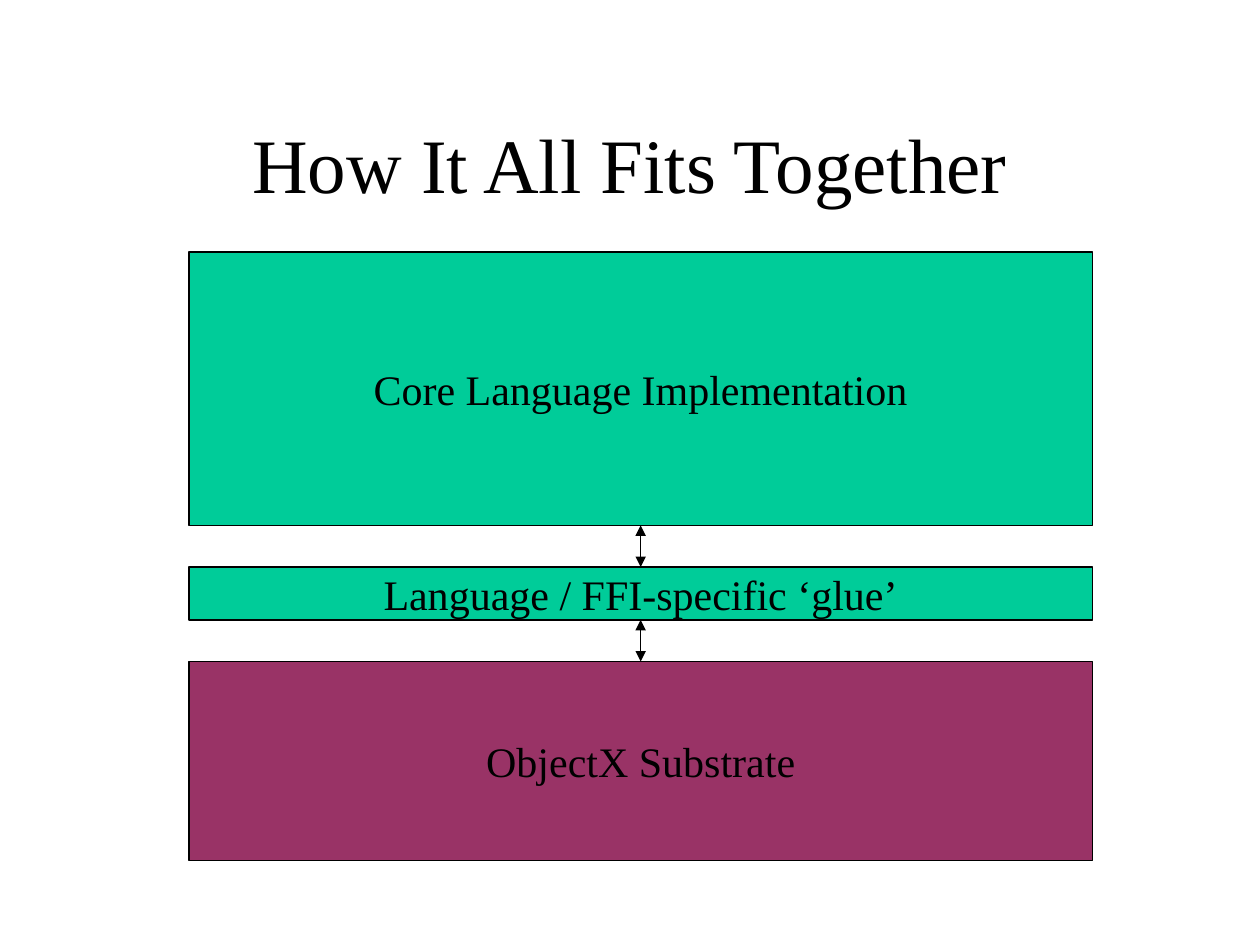
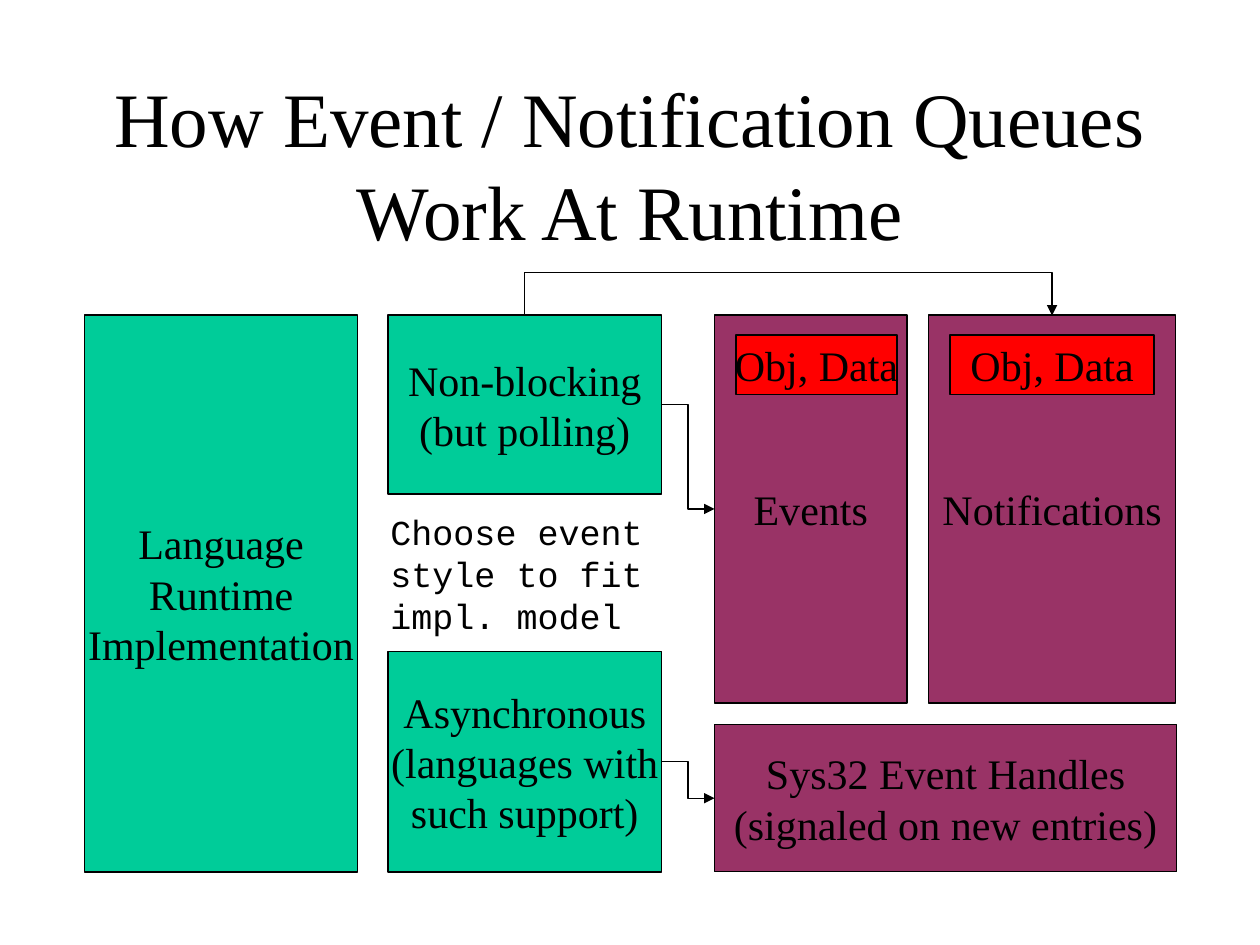
import pptx
import pptx.dml.color
import pptx.enum.shapes
import pptx.enum.text
import pptx.oxml.ns
import pptx.oxml.xmlchemy
import pptx.util

Inches = pptx.util.Inches
Pt = pptx.util.Pt
RGBColor = pptx.dml.color.RGBColor
OxmlElement = pptx.oxml.xmlchemy.OxmlElement
MSO_CONNECTOR = pptx.enum.shapes.MSO_CONNECTOR
PP_ALIGN = pptx.enum.text.PP_ALIGN
MSO_ANCHOR = pptx.enum.text.MSO_ANCHOR

# Shared style
BLACK = RGBColor(0x00, 0x00, 0x00)
LANGUAGE_GREEN = RGBColor(0x00, 0xCC, 0x99)
SUBSTRATE_PURPLE = RGBColor(0x99, 0x33, 0x66)
ENTRY_RED = RGBColor(0xFF, 0x00, 0x00)
SERIF = "Times New Roman"
MONO = "Courier New"
LINE_WIDTH = Pt(0.75)

# Connection sites of a rectangle
TOP, LEFT, BOTTOM, RIGHT = range(4)


def style_paragraph(p, size, align, name=SERIF):
    p.alignment = align
    p.font.name = name
    p.font.size = Pt(size)
    p.font.color.rgb = BLACK


def add_titled_slide(prs, title):
    slide = prs.slides.add_slide(prs.slide_layouts[5])
    sp = slide.shapes.title
    sp.left, sp.top = Inches(0.75), Inches(0.67)
    sp.width, sp.height = Inches(8.5), Inches(1.25)
    tf = sp.text_frame
    tf.text = title
    tf.word_wrap = True
    tf.auto_size = pptx.enum.text.MSO_AUTO_SIZE.NONE
    tf.vertical_anchor = MSO_ANCHOR.MIDDLE
    style_paragraph(tf.paragraphs[0], 44, PP_ALIGN.CENTER)
    return slide


def add_box(slide, text, left, top, width, height, fill):
    sp = slide.shapes.add_shape(
        pptx.enum.shapes.MSO_SHAPE.RECTANGLE,
        Inches(left), Inches(top), Inches(width), Inches(height))
    sp.shadow.inherit = False
    sp.fill.solid()
    sp.fill.fore_color.rgb = fill
    sp.line.color.rgb = BLACK
    sp.line.width = LINE_WIDTH
    tf = sp.text_frame
    tf.text = text
    tf.word_wrap = False
    tf.vertical_anchor = MSO_ANCHOR.MIDDLE
    for p in tf.paragraphs:
        style_paragraph(p, 24, PP_ALIGN.CENTER)
    return sp


def add_note(slide, text, left, top, width, height):
    sp = slide.shapes.add_textbox(
        Inches(left), Inches(top), Inches(width), Inches(height))
    tf = sp.text_frame
    tf.text = text
    tf.word_wrap = True
    style_paragraph(tf.paragraphs[0], 20, PP_ALIGN.LEFT, MONO)


def add_arrow(slide, kind, start, start_site, end, end_site, ends=("tailEnd",)):
    """Link two boxes; ends lists the line ends that carry an arrowhead."""
    cxn = slide.shapes.add_connector(kind, 0, 0, 0, 0)
    cxn.begin_connect(start, start_site)
    cxn.end_connect(end, end_site)
    cxn.line.color.rgb = BLACK
    cxn.line.width = LINE_WIDTH
    ln = cxn._element.spPr.find(pptx.oxml.ns.qn("a:ln"))
    for tag in ends:
        head = OxmlElement(f"a:{tag}")
        head.set("type", "triangle")
        ln.append(head)
    cxn._element.spPr.append(OxmlElement("a:effectLst"))
    return cxn


def loop_over(cxn, start, end, rise):
    """Route an elbow from top to top, rising above both boxes."""
    depth = Inches(0.01)
    x1 = start.left + start.width // 2
    x2 = end.left + end.width // 2
    cxn.left, cxn.width = (x1 + x2 - depth) // 2, depth
    cxn.top, cxn.height = start.top - (x2 - x1) // 2, x2 - x1
    xfrm = cxn._element.spPr.find(pptx.oxml.ns.qn("a:xfrm"))
    xfrm.attrib.pop("flipV", None)
    xfrm.set("rot", str(270 * 60000))
    xfrm.set("flipH", "1")
    guide = OxmlElement("a:gd")
    guide.set("name", "adj1")
    guide.set("fmla", f"val {round(-Inches(rise) / depth * 100000)}")
    geom = cxn._element.spPr.find(pptx.oxml.ns.qn("a:prstGeom"))
    geom.get_or_add_avLst().append(guide)


def build_layers_slide(prs):
    slide = add_titled_slide(prs, "How It All Fits Together")
    layers = [
        ("Core Language Implementation", 2.17, LANGUAGE_GREEN),
        ("Language / FFI-specific ‘glue’", 0.42, LANGUAGE_GREEN),
        ("ObjectX Substrate", 1.58, SUBSTRATE_PURPLE),
    ]
    top, gap = 2, 0.33
    boxes = []
    for text, height, fill in layers:
        boxes.append(add_box(slide, text, 1.5, top, 7.17, height, fill))
        top += height + gap
    for upper, lower in zip(boxes, boxes[1:]):
        add_arrow(slide, MSO_CONNECTOR.STRAIGHT, upper, BOTTOM, lower, TOP,
                  ("headEnd", "tailEnd"))


def build_queues_slide(prs):
    slide = add_titled_slide(
        prs, "How Event / Notification Queues Work At Runtime")
    top, mid, right = 2.5, 3.08, 5.67

    # Language side
    add_box(slide, "Language\nRuntime\nImplementation",
            0.67, top, 2.17, 4.42, LANGUAGE_GREEN)
    polling = add_box(slide, "Non-blocking\n(but polling)",
                      mid, top, 2.17, 1.42, LANGUAGE_GREEN)
    asynchronous = add_box(slide, "Asynchronous\n(languages with\nsuch support)",
                           mid, 5.17, 2.17, 1.75, LANGUAGE_GREEN)
    add_note(slide, "Choose event style to fit impl. model", 3, 4, 2.25, 1.1)

    # Queues, each with an entry at its top
    handles = add_box(slide, "Sys32 Event Handles\n(signaled on new entries)",
                      right, 5.75, 3.67, 1.17, SUBSTRATE_PURPLE)
    queues = []
    for text, left, width, entry_width in [("Events", right, 1.53, 1.28),
                                           ("Notifications", 7.37, 1.96, 1.62)]:
        queues.append(add_box(slide, text, left, top, width, 3.08,
                              SUBSTRATE_PURPLE))
        add_box(slide, "Obj, Data", left + 0.17, top + 0.16, entry_width, 0.47,
                ENTRY_RED)
    events, notifications = queues

    # Links
    add_arrow(slide, MSO_CONNECTOR.ELBOW, polling, RIGHT, events, LEFT)
    add_arrow(slide, MSO_CONNECTOR.ELBOW, asynchronous, RIGHT, handles, LEFT)
    loop = add_arrow(slide, MSO_CONNECTOR.ELBOW, polling, TOP,
                     notifications, TOP)
    loop_over(loop, polling, notifications, 0.34)


def main():
    prs = pptx.Presentation()
    prs.slide_width, prs.slide_height = Inches(10), Inches(7.5)
    build_layers_slide(prs)
    build_queues_slide(prs)
    prs.save("out.pptx")


if __name__ == "__main__":
    main()
